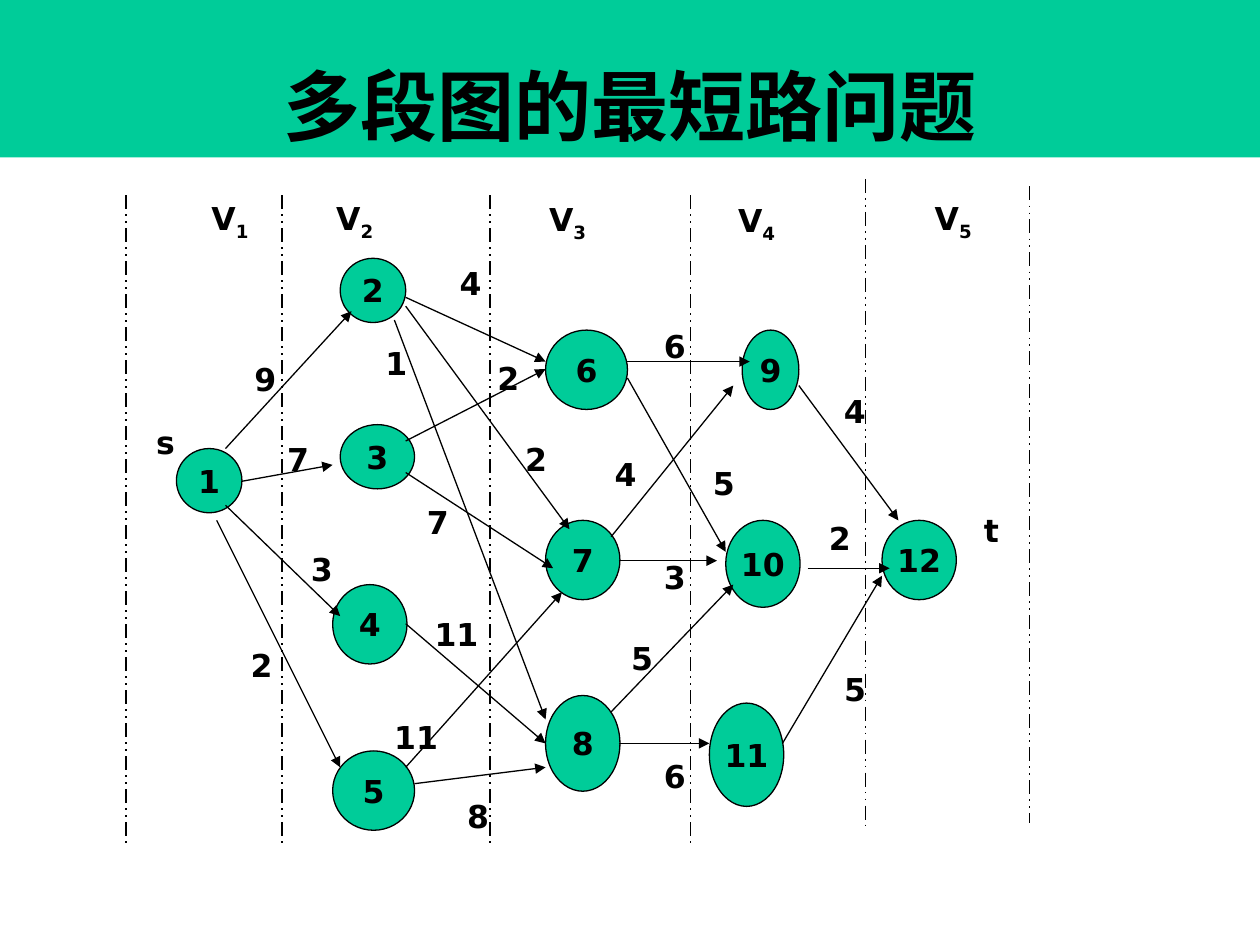
from pptx import Presentation
from pptx.dml.color import RGBColor
from pptx.enum.dml import MSO_LINE
from pptx.enum.shapes import MSO_CONNECTOR, MSO_SHAPE
from pptx.enum.text import MSO_ANCHOR, MSO_AUTO_SIZE, PP_ALIGN
from pptx.oxml.ns import qn
from pptx.util import Inches, Pt
from lxml import etree

GREEN, BLACK = "00CC99", "000000"


def add_run(p, text, size=18, font="DejaVu Sans", color=BLACK):
    r = p.add_run()
    r.text = text
    r.font.size = Pt(size)
    r.font.name = font
    r.font.bold = True
    r.font.color.rgb = RGBColor.from_string(color)
    return r


def add_line(s, x1, y1, x2, y2, width):
    line = s.shapes.add_connector(MSO_CONNECTOR.STRAIGHT, Inches(x1), Inches(y1),
                                  Inches(x2), Inches(y2))
    line.line.width = Pt(width)
    line.line.color.rgb = RGBColor.from_string(BLACK)
    etree.SubElement(line._element.spPr, qn("a:effectLst"))
    return line


prs = Presentation()
prs.slide_width, prs.slide_height = Inches(10), Inches(7.5)
s = prs.slides.add_slide(prs.slide_layouts[5])

# Title band
title = s.shapes.title
title.left, title.top, title.width, title.height = 0, 0, Inches(10), Inches(1.25)
title.fill.solid()
title.fill.fore_color.rgb = RGBColor.from_string(GREEN)
tf = title.text_frame
tf.auto_size = MSO_AUTO_SIZE.NONE
tf.vertical_anchor = MSO_ANCHOR.BOTTOM
p = tf.paragraphs[0]
p.alignment = PP_ALIGN.CENTER
add_run(p, "多段图的最短路问题", 44, "Times New Roman")

# Graph nodes, numbered from 1: left, top, width, height
nodes = [
    (1.4, 3.56, 0.52, 0.51),
    (2.7, 2.05, 0.52, 0.51),
    (2.7, 3.37, 0.59, 0.51),
    (2.64, 4.64, 0.59, 0.63),
    (2.64, 5.96, 0.65, 0.63),
    (4.33, 2.62, 0.65, 0.63),
    (4.33, 4.13, 0.59, 0.63),
    (4.33, 5.52, 0.59, 0.76),
    (5.89, 2.62, 0.45, 0.63),
    (5.76, 4.13, 0.59, 0.69),
    (5.63, 5.58, 0.59, 0.82),
    (7, 4.13, 0.59, 0.63),
]
for number, box in enumerate(nodes, 1):
    sp = s.shapes.add_shape(MSO_SHAPE.OVAL, *map(Inches, box))
    sp.shadow.inherit = False
    sp.fill.solid()
    sp.fill.fore_color.rgb = RGBColor.from_string(GREEN)
    sp.line.color.rgb = RGBColor.from_string(BLACK)
    sp.line.width = Pt(0.75)
    tf = sp.text_frame
    tf.word_wrap = False
    tf.vertical_anchor = MSO_ANCHOR.MIDDLE
    p = tf.paragraphs[0]
    p.alignment = PP_ALIGN.CENTER
    add_run(p, str(number))

# Weighted edges: start and end points, then weight with its left, top, width
edges = [
    ((1.79, 3.56, 2.79, 2.47), ("9", 1.92, 2.81, 0.39)),
    ((1.92, 3.82, 2.64, 3.69), ("7", 2.18, 3.44, 0.26)),
    ((1.79, 4.01, 2.7, 4.89), ("3", 2.37, 4.32, 0.46)),
    ((1.72, 4.13, 2.7, 6.09), ("2", 1.89, 5.08, 0.39)),
    ((3.22, 2.36, 4.33, 2.87), ("4", 3.55, 2.05, 0.46)),
    ((3.22, 2.43, 4.52, 4.2), ("2", 4.07, 3.44, 0.39)),
    ((3.13, 2.54, 4.33, 5.71), ("1", 2.96, 2.68, 0.26)),
    ((3.22, 3.5, 4.33, 2.93), ("2", 3.85, 2.8, 0.46)),
    ((3.22, 3.75, 4.39, 4.51), ("7", 3.29, 3.94, 0.32)),
    ((3.22, 4.95, 4.33, 5.9), ("11", 3.35, 4.83, 0.65)),
    ((3.22, 6.09, 4.46, 4.7), ("11", 3.03, 5.65, 0.59)),
    ((3.29, 6.22, 4.33, 6.09), ("8", 3.61, 6.28, 0.52)),
    ((4.98, 2.87, 5.95, 2.87), ("6", 5.17, 2.55, 0.59)),
    ((4.98, 3, 5.76, 4.38), ("5", 5.56, 3.63, 0.45)),
    ((4.85, 4.26, 5.82, 3.06), ("4", 4.78, 3.56, 0.39)),
    ((4.91, 4.45, 5.69, 4.45), ("3", 5.17, 4.38, 0.33)),
    ((4.85, 5.65, 5.82, 4.64), ("5", 4.91, 5.02, 0.39)),
    ((4.91, 5.9, 5.63, 5.9), ("6", 5.17, 5.96, 0.33)),
    ((6.41, 4.51, 7.06, 4.51), ("2", 6.48, 4.07, 0.39)),
    ((6.21, 5.9, 7, 4.57), ("5", 6.6, 5.27, 0.39)),
    ((6.34, 3.06, 7.13, 4.13), ("4", 6.6, 3.06, 0.33)),
]
for ends, weight in edges:
    arrow = add_line(s, *ends, 0.75)
    etree.SubElement(arrow._element.spPr.find(qn("a:ln")), qn("a:tailEnd"), type="triangle")

# Stage dividers: x, top, bottom
for x, top, bottom in [(1, 1.55, 6.73), (2.24, 1.55, 6.73), (3.89, 1.55, 6.73),
                       (5.48, 1.55, 6.73), (6.87, 1.42, 6.6), (8.17, 1.48, 6.53)]:
    divider = add_line(s, x, top, x, bottom, 1)
    divider.line.dash_style = MSO_LINE.DASH_DOT_DOT

# Labels: weights, source and sink, stage names with a subscript digit
stages = [("V1", 1.58, 1.53, 0.52), ("V2", 2.57, 1.53, 0.65), ("V3", 4.26, 1.54, 0.72),
          ("V4", 5.76, 1.55, 0.85), ("V5", 7.32, 1.53, 0.85)]
terminals = [("s", 1.14, 3.31, 0.33), ("t", 7.71, 4.01, 0.39)]
for text, left, top, width in [weight for _, weight in edges] + terminals + stages:
    tb = s.shapes.add_textbox(Inches(left), Inches(top), Inches(width), Inches(0.4))
    tf = tb.text_frame
    tf.word_wrap = True
    p = tf.paragraphs[0]
    if text.startswith("V"):
        add_run(p, "V")
        r = add_run(p, text[1:])
        r._r.get_or_add_rPr().set("baseline", "-25000")
    else:
        add_run(p, text)

prs.save("out.pptx")
